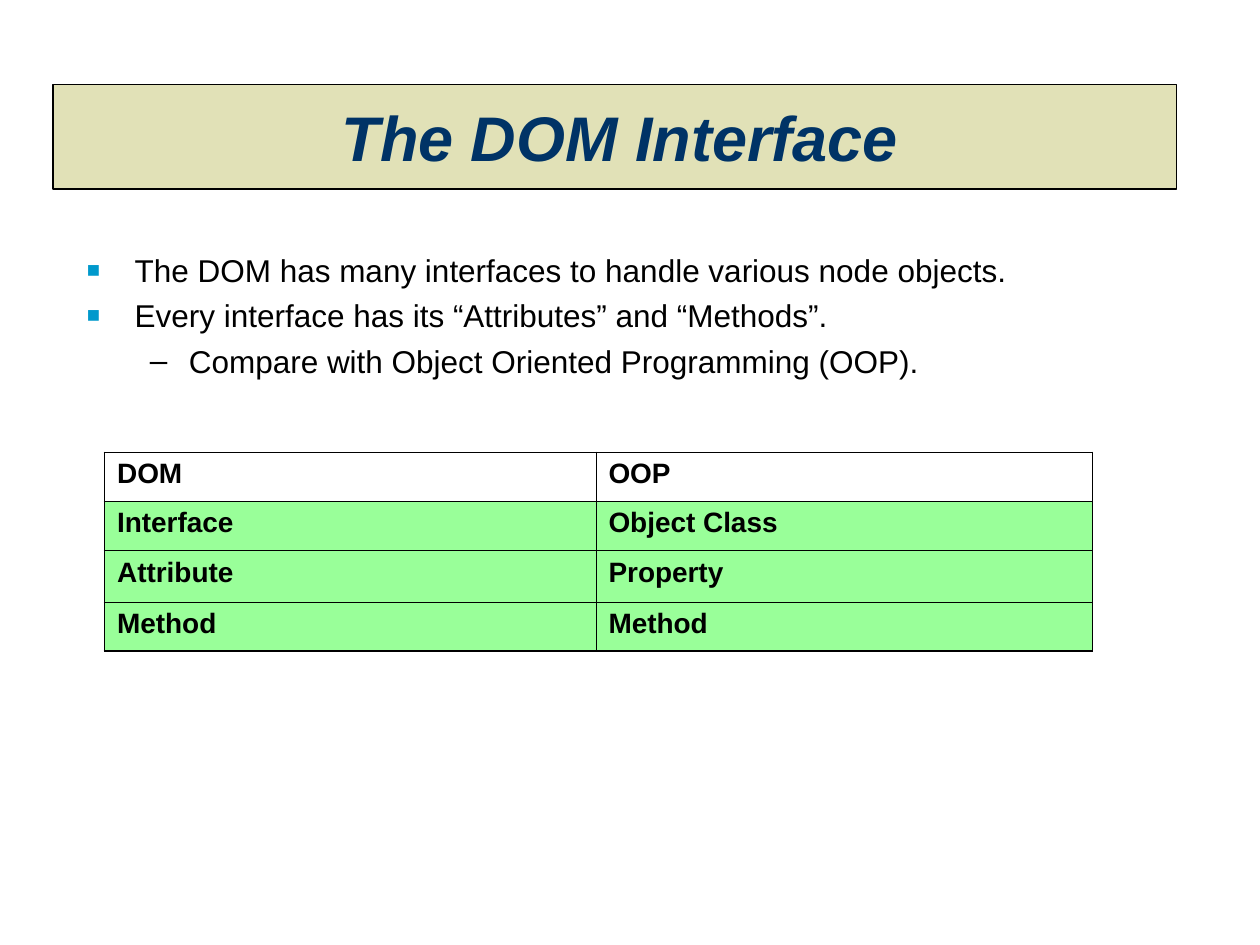
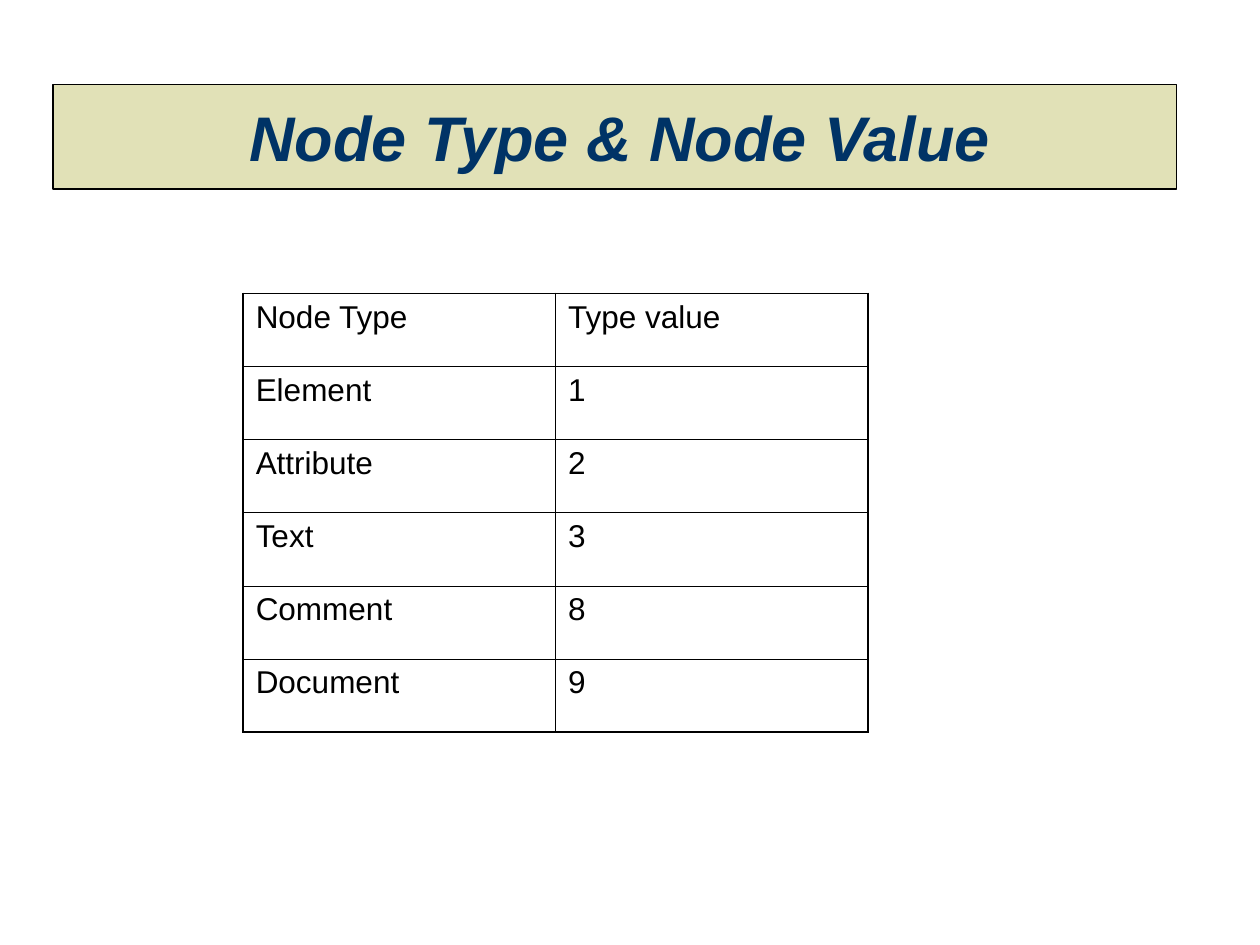
from lxml.etree import SubElement
from pptx import Presentation
from pptx.dml.color import RGBColor
from pptx.enum.shapes import MSO_SHAPE as Shape
from pptx.enum.text import MSO_ANCHOR as Anchor, PP_ALIGN as Align
from pptx.oxml.ns import qn
from pptx.util import Inches, Pt

BLACK = RGBColor(0x00, 0x00, 0x00)
WHITE = RGBColor(0xFF, 0xFF, 0xFF)
NAVY = RGBColor(0x00, 0x33, 0x66)
SAND = RGBColor(0xE1, 0xE1, 0xB7)
BLUE = RGBColor(0x00, 0x99, 0xCC)
GREEN = RGBColor(0x99, 0xFF, 0x99)

FONT = "Arial"
OUTER_BORDER = Pt(1.08)
INNER_BORDER = Pt(0.45)
BULLET_LEVELS = [
    {"mark": "■", "color": BLUE, "percent": 70, "margin": 0.38, "hang": 0.38},
    {"mark": "–", "color": BLACK, "percent": 100, "margin": 0.81, "hang": 0.31},
]


class Deck:
    def __init__(self):
        self.presentation = Presentation()
        self.presentation.slide_width = Inches(10)
        self.presentation.slide_height = Inches(7.5)
        self.slide = None

    def add_slide(self, title):
        self.slide = self.presentation.slides.add_slide(self.presentation.slide_layouts[6])
        self.add_band(0.42, 0.67, 8.92, 0.83)
        heading = self.add_text_frame(0.42, 0.67, 9, 0.83)
        heading.vertical_anchor = Anchor.MIDDLE
        heading.paragraphs[0].alignment = Align.CENTER
        self.add_run(heading.paragraphs[0], title, 36, NAVY, bold=True, italic=True)

    def add_band(self, left, top, width, height):
        band = self.slide.shapes.add_shape(
            Shape.RECTANGLE, Inches(left), Inches(top), Inches(width), Inches(height))
        band.shadow.inherit = False
        band.fill.solid()
        band.fill.fore_color.rgb = SAND
        band.line.color.rgb = BLACK
        band.line.width = Pt(0.75)

    def add_text_frame(self, left, top, width, height):
        frame = self.slide.shapes.add_textbox(
            Inches(left), Inches(top), Inches(width), Inches(height)).text_frame
        frame.word_wrap = True
        return frame

    def add_run(self, paragraph, text, size, color=BLACK, bold=False, italic=False):
        run = paragraph.add_run()
        run.text = text
        run.font.name = FONT
        run.font.size = Pt(size)
        run.font.bold = bold
        run.font.italic = italic
        run.font.color.rgb = color

    def add_bullets(self, left, top, width, height, points):
        frame = self.add_text_frame(left, top, width, height)
        for index, (level, text) in enumerate(points):
            paragraph = frame.add_paragraph() if index else frame.paragraphs[0]
            paragraph.level = level
            self.set_bullet(paragraph, **BULLET_LEVELS[level])
            if index:
                paragraph.space_before = Pt(4.5)
            self.add_run(paragraph, text, 18)

    def set_bullet(self, paragraph, mark, color, percent, margin, hang):
        properties = paragraph._p.get_or_add_pPr()
        properties.set("marL", str(Inches(margin)))
        properties.set("indent", str(-Inches(hang)))
        bullet_color = SubElement(properties, qn("a:buClr"))
        SubElement(bullet_color, qn("a:srgbClr"), val=str(color))
        SubElement(properties, qn("a:buSzPct"), val=str(percent * 1000))
        SubElement(properties, qn("a:buFont"), typeface=FONT)
        SubElement(properties, qn("a:buChar"), char=mark)

    def add_table(self, left, top, widths, heights, rows, size, bold=False, fills=None):
        table = self.slide.shapes.add_table(
            len(heights), len(widths), Inches(left), Inches(top),
            Inches(sum(widths)), Inches(sum(heights))).table
        table.first_row = False
        table.horz_banding = False
        for column, width in zip(table.columns, widths):
            column.width = Inches(width)
        for row, height in zip(table.rows, heights):
            row.height = Inches(height)
        last_row, last_column = len(heights) - 1, len(widths) - 1
        for r, texts in enumerate(rows):
            for c, text in enumerate(texts):
                cell = table.cell(r, c)
                self.set_borders(cell, L=c == 0, R=c == last_column, T=r == 0, B=r == last_row)
                if fills:
                    cell.fill.solid()
                    cell.fill.fore_color.rgb = fills[r]
                else:
                    cell.fill.background()
                self.add_run(cell.text_frame.paragraphs[0], text, size, bold=bold)

    def set_borders(self, cell, **outer_sides):
        properties = cell._tc.get_or_add_tcPr()
        for side, is_outer in outer_sides.items():
            width = OUTER_BORDER if is_outer else INNER_BORDER
            border = SubElement(properties, qn(f"a:ln{side}"), w=str(width))
            fill = SubElement(border, qn("a:solidFill"))
            SubElement(fill, qn("a:srgbClr"), val=str(BLACK))


def main():
    deck = Deck()

    deck.add_slide("The DOM Interface")
    deck.add_bullets(0.59, 1.94, 8.79, 1.4, [
        (0, "The DOM has many interfaces to handle various node objects."),
        (0, "Every interface has its “Attributes” and “Methods”."),
        (1, "Compare with Object Oriented Programming (OOP)."),
    ])
    dom_and_oop = [
        ("DOM", "OOP"),
        ("Interface", "Object Class"),
        ("Attribute", "Property"),
        ("Method", "Method"),
    ]
    deck.add_table(0.83, 3.59, [3.9, 3.94], [0.39, 0.39, 0.41, 0.39], dom_and_oop,
                   size=16, bold=True, fills=[WHITE] + [GREEN] * 3)

    deck.add_slide("Node Type & Node Value")
    node_types = [
        ("Node Type", "Type value"),
        ("Element", "1"),
        ("Attribute", "2"),
        ("Text", "3"),
        ("Comment", "8"),
        ("Document", "9"),
    ]
    deck.add_table(1.93, 2.33, [2.48] * 2, [0.58] * len(node_types), node_types, size=18)

    deck.presentation.save("out.pptx")


if __name__ == "__main__":
    main()
